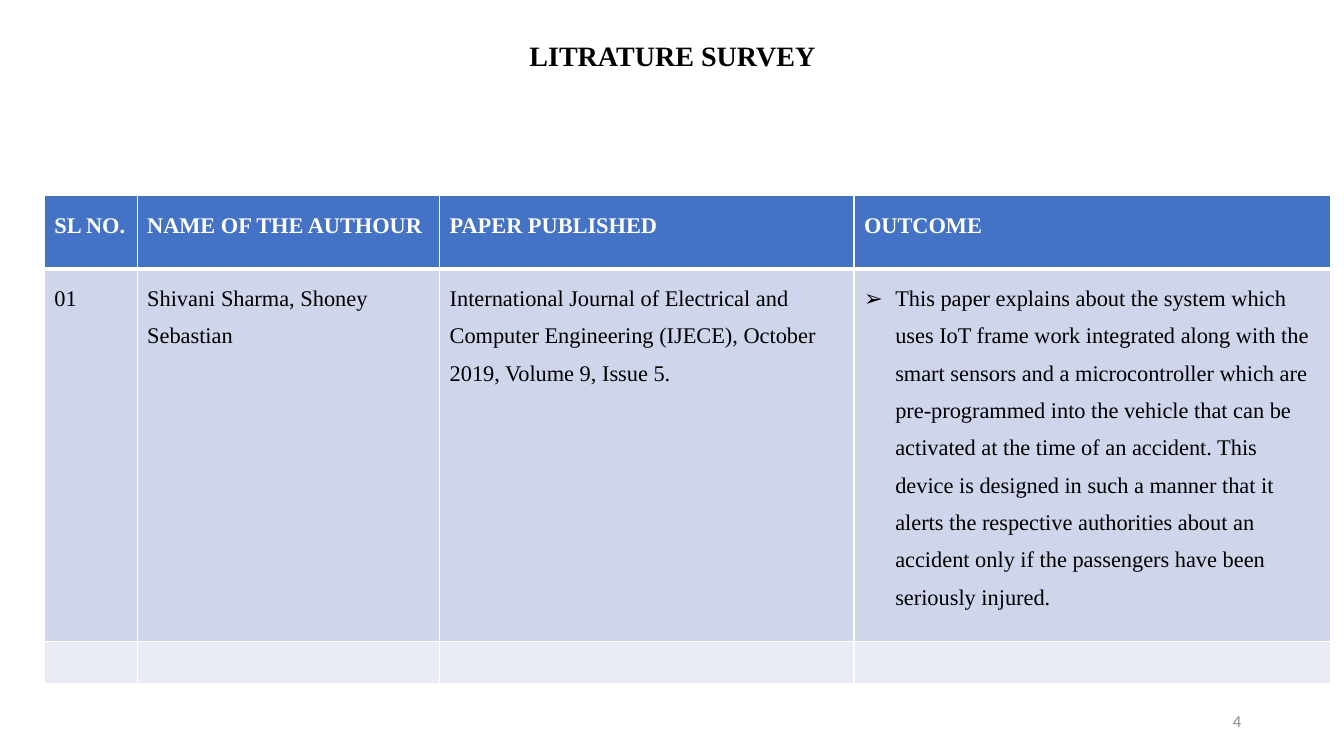
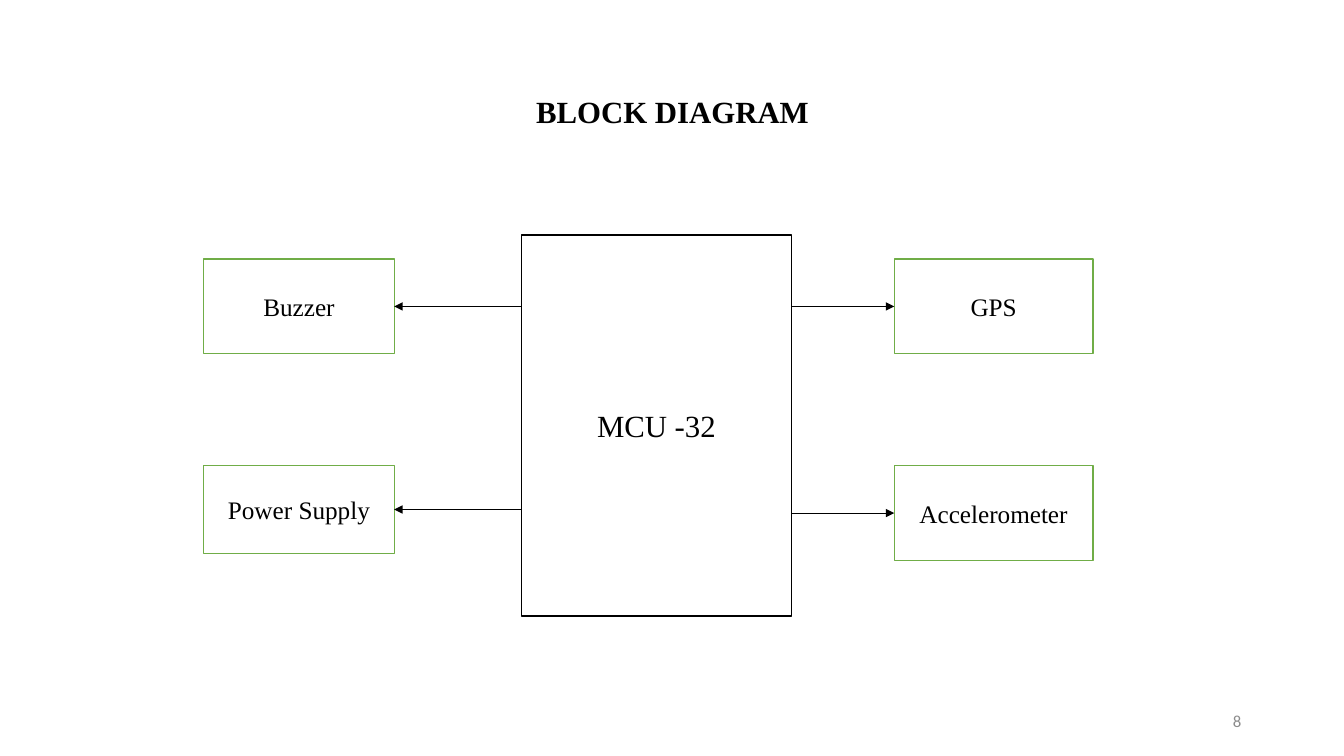
"""Build a literature survey table slide and a block diagram slide."""
from pptx import Presentation
from pptx import util as u
from pptx.dml.color import RGBColor
from pptx.enum import shapes, text
from pptx.oxml.ns import qn
from lxml import etree

PX = 9144
SERIF = "Times New Roman"
BLACK, WHITE, GREY = "000000", "FFFFFF", "8C8C8C"
BLUE, GREEN = "4472C4", "70AD47"
ROW_FILLS = [BLUE, "CFD5EA", "E9EBF5"]
CENTER, MIDDLE = text.PP_ALIGN.CENTER, text.MSO_ANCHOR.MIDDLE


def rgb(code):
    return RGBColor.from_string(code)


def write(frame, words, size=16, color=BLACK, bold=False, font=SERIF,
          align=None, anchor=None, spacing=None):
    if anchor is not None:
        frame.vertical_anchor = anchor
        frame.word_wrap = True
    paragraph = frame.paragraphs[0]
    paragraph.alignment = align
    paragraph.line_spacing = spacing
    run = paragraph.add_run()
    run.text = words
    run.font.size = u.Pt(size)
    run.font.name = font
    run.font.bold = bold
    run.font.color.rgb = rgb(color)
    return paragraph


prs = Presentation()
prs.slide_width, prs.slide_height = 1333 * PX, 750 * PX

slides = []
for heading, size, top, height, number in [
    ("LITRATURE SURVEY", 20, 29, 55, "4"),
    ("BLOCK DIAGRAM", 22, 40, 145, "8"),
]:
    slide = prs.slides.add_slide(prs.slide_layouts[5])
    title = slide.shapes.title
    title.left, title.top = 92 * PX, top * PX
    title.width, title.height = 1150 * PX, height * PX
    title.text_frame.auto_size = text.MSO_AUTO_SIZE.NONE
    write(title.text_frame, heading, size=size, bold=True,
          align=CENTER, anchor=MIDDLE, spacing=0.9)
    page = slide.shapes.add_textbox(941 * PX, 695 * PX, 300 * PX, 40 * PX)
    write(page.text_frame, number, size=12, color=GREY, font="Calibri",
          align=text.PP_ALIGN.RIGHT, anchor=MIDDLE)
    slides.append(slide)
survey_slide, diagram_slide = slides

survey_rows = [
    ["SL NO.", "NAME OF THE AUTHOUR", "PAPER PUBLISHED", "OUTCOME"],
    ["01", "Shivani Sharma, Shoney Sebastian",
     "International Journal of Electrical and Computer Engineering (IJECE), "
     "October 2019, Volume 9, Issue 5.",
     "This paper explains about the system which uses IoT frame work "
     "integrated along with the smart sensors and a microcontroller which are "
     "pre-programmed into the vehicle that can be activated at the time of an "
     "accident. This device is designed in such a manner that it alerts the "
     "respective authorities about an accident only if the passengers have "
     "been seriously injured."],
    [""] * 4,
]
column_widths, row_heights = [92, 300, 411, 473], [73, 352, 42]
survey = survey_slide.shapes.add_table(
    len(row_heights), len(column_widths), 44 * PX, 194 * PX,
    sum(column_widths) * PX, sum(row_heights) * PX).table
for column, width in zip(survey.columns, column_widths):
    column.width = width * PX
for r, (entries, height, fill) in enumerate(zip(survey_rows, row_heights, ROW_FILLS)):
    survey.rows[r].height = height * PX
    for c, entry in enumerate(entries):
        cell = survey.cell(r, c)
        cell.fill.solid()
        cell.fill.fore_color.rgb = rgb(fill)
        if entry:
            write(cell.text_frame, entry, color=WHITE if r == 0 else BLACK,
                  bold=r == 0, spacing=1.5)
        if r == 0:
            rule = etree.Element(qn("a:lnB"), w=str(u.Pt(3)))
            paint = etree.SubElement(rule, qn("a:solidFill"))
            etree.SubElement(paint, qn("a:srgbClr"), val=WHITE)
            cell._tc.get_or_add_tcPr().insert(0, rule)

outcome = survey.cell(1, 3).text_frame.paragraphs[0]._p
bullet = outcome.get_or_add_pPr()
bullet.set("marL", str(31 * PX))
bullet.set("indent", str(-31 * PX))
etree.SubElement(bullet, qn("a:buFont"), typeface="Arial")
etree.SubElement(bullet, qn("a:buChar"), char="➢")
etree.SubElement(outcome, qn("a:endParaRPr"), sz="1600")

blocks = {}
for label, left, top, width, height, size, outline in [
    ("MCU -32", 517, 233, 268, 378, 22, BLACK),
    ("GPS", 887, 257, 197, 94, 18, GREEN),
    ("Accelerometer", 887, 462, 197, 94, 18, GREEN),
    ("Buzzer", 202, 257, 189, 94, 18, GREEN),
    ("Power Supply", 202, 462, 189, 87, 18, GREEN),
]:
    block = diagram_slide.shapes.add_shape(
        shapes.MSO_SHAPE.RECTANGLE, left * PX, top * PX, width * PX, height * PX)
    block.shadow.inherit = False
    block.fill.solid()
    block.fill.fore_color.rgb = rgb(WHITE)
    block.line.color.rgb = rgb(outline)
    block.line.width = u.Pt(1)
    write(block.text_frame, label, size=size, align=CENTER, anchor=MIDDLE)
    blocks[label] = block

controller = blocks.pop("MCU -32")
for block in blocks.values():
    on_right = block.left > controller.left
    start = controller.left + controller.width * on_right
    level = block.top + block.height // 2
    arrow = diagram_slide.shapes.add_connector(
        shapes.MSO_CONNECTOR.STRAIGHT, start, level, start, level)
    arrow.end_connect(block, 1 if on_right else 3)
    arrow.line.color.rgb = rgb(BLACK)
    arrow.line.width = u.Pt(0.5)
    etree.SubElement(arrow.line._get_or_add_ln(), qn("a:tailEnd"), type="triangle")
    etree.SubElement(arrow._element.spPr, qn("a:effectLst"))

prs.save("out.pptx")
